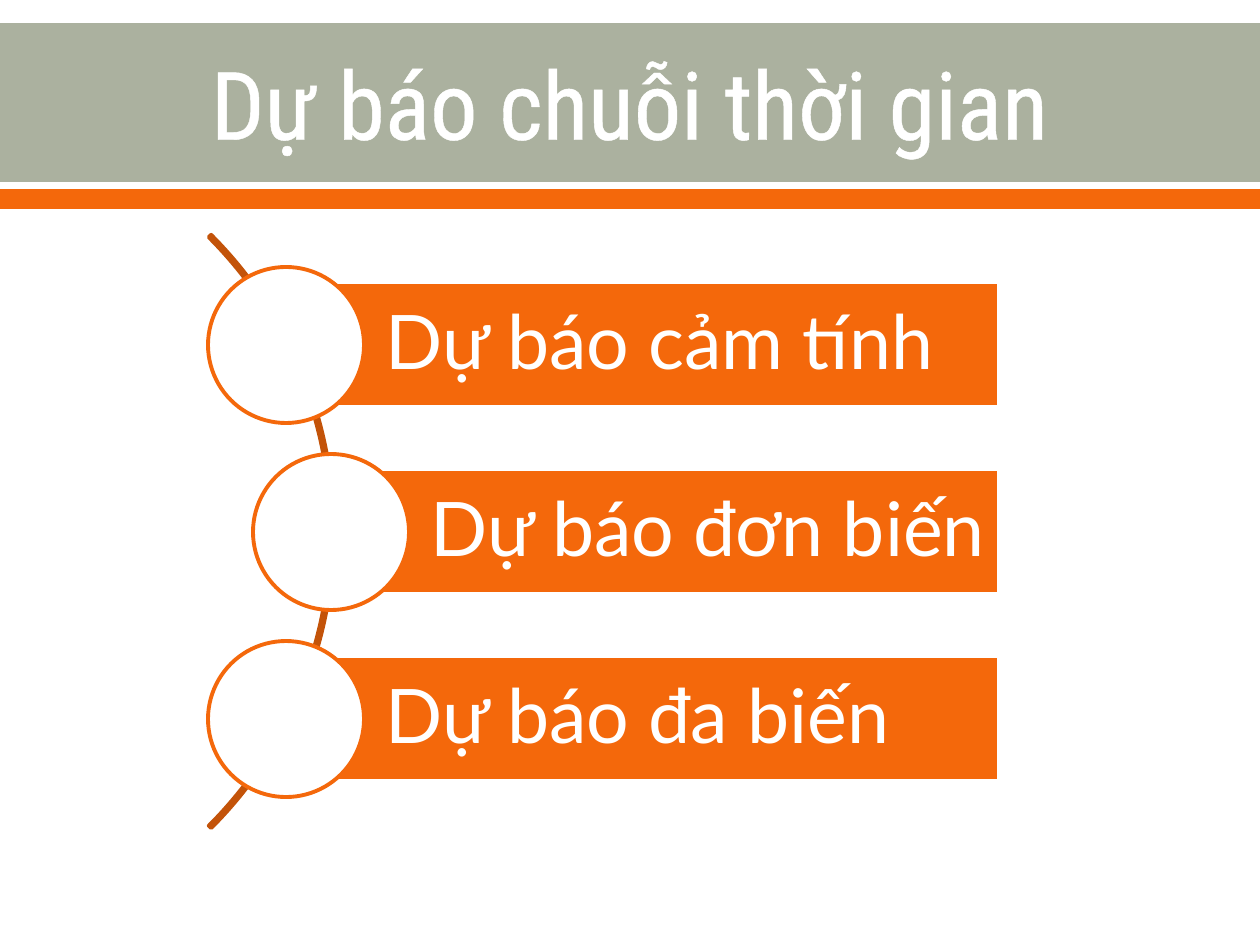
import pptx
import pptx.util
import pptx.dml.color
import pptx.enum.shapes
import pptx.enum.text
import pptx.oxml.ns
import lxml.etree

TITLE = "Dự báo chuỗi thời gian"
ITEMS = [
    ("Dự báo cảm tính", 286),
    ("Dự báo đơn biến", 331),
    ("Dự báo đa biến", 286),
]
HUES = {"sage": "ABB19F", "orange": "F4680B", "rust": "C35309", "white": "FFFFFF"}
KIND = pptx.enum.shapes.MSO_SHAPE
ALIGN = pptx.enum.text.PP_ALIGN
PX = 914400 / 126
WIDE, HIGH = 1260, 945
MID, STEP = 345, 187
BAR, DISC, RIGHT = 125, 156, 999
STROKE = 2.22


def emu(px):
    return round(px * PX)


def hue(name):
    return pptx.dml.color.RGBColor.from_string(HUES[name])


def draw(kind, box, fill=None, line=None):
    shape = slide.shapes.add_shape(kind, *map(emu, box))
    shape.shadow.inherit = False
    if fill:
        shape.fill.solid()
        shape.fill.fore_color.rgb = hue(fill)
    else:
        shape.fill.background()
    if line:
        shape.line.color.rgb = hue(line)
        shape.line.width = pptx.util.Pt(STROKE)
    else:
        shape.line.fill.background()
    return shape


def write(shape, text, size, font, align, pads):
    frame = shape.text_frame
    frame.word_wrap = True
    frame.vertical_anchor = pptx.enum.text.MSO_ANCHOR.MIDDLE
    (frame.margin_left, frame.margin_top,
     frame.margin_right, frame.margin_bottom) = map(emu, pads)
    frame.text = text
    para = frame.paragraphs[0]
    para.alignment = align
    run = para.runs[0]
    run.font.size = pptx.util.Pt(size)
    run.font.name = font
    run.font.color.rgb = hue("white")
    return para


def edge(run, name, width):
    qn = pptx.oxml.ns.qn
    line = lxml.etree.Element(qn("a:ln"), w=str(pptx.util.Pt(width)))
    fill = lxml.etree.SubElement(line, qn("a:solidFill"))
    lxml.etree.SubElement(fill, qn("a:srgbClr"), val=HUES[name])
    run.font._element.insert(0, line)


deck = pptx.Presentation()
deck.slide_width, deck.slide_height = emu(WIDE), emu(HIGH)
slide = deck.slides.add_slide(deck.slide_layouts[6])

draw(KIND.RECTANGLE, (0, 23, WIDE, 159), "sage")
draw(KIND.RECTANGLE, (0, 189, WIDE, 20), "orange")
head = slide.shapes.add_textbox(*map(emu, (63, 25, 1134, 154)))
para = write(head, TITLE, 54, "Roboto Condensed", ALIGN.CENTER, (13, 6, 13, 6))
edge(para.runs[0], "white", 1.1)

arc = draw(KIND.BLOCK_ARC, (-505, 112, 839, 839), line="rust")
for spot, value in enumerate((189, 27, 0.004)):
    arc.adjustments[spot] = value

for row, (text, left) in enumerate(ITEMS):
    mid = MID + row * STEP
    bar = draw(KIND.RECTANGLE, (left, mid - BAR / 2, RIGHT - left, BAR),
               "orange", "white")
    para = write(bar, text, 43, "Lato", ALIGN.LEFT, (100, 15, 5, 15))
    para.line_spacing = 0.9
    draw(KIND.OVAL, (left - DISC / 2, mid - DISC / 2, DISC, DISC),
         "white", "orange")

deck.save("out.pptx")
